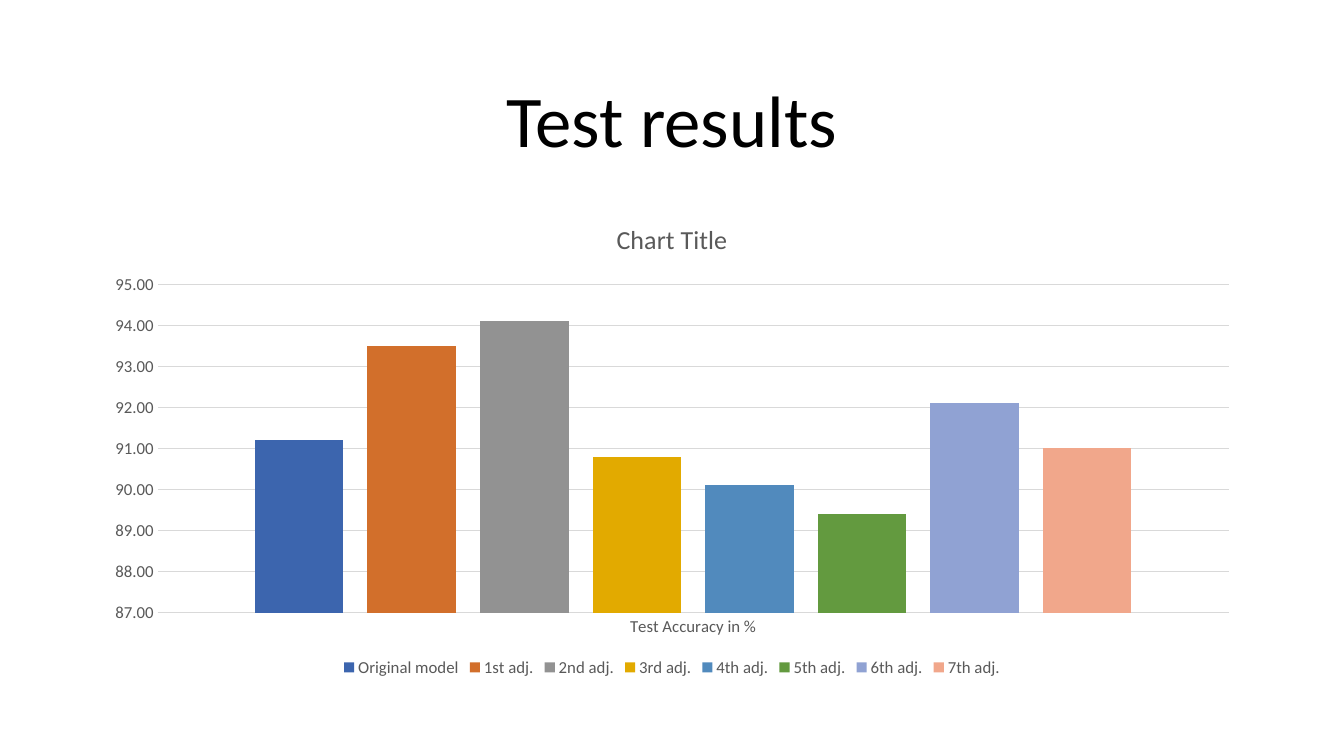
from pptx import Presentation
from pptx.chart.data import CategoryChartData
from pptx.dml.color import RGBColor
from pptx.enum.chart import XL_CHART_TYPE, XL_LEGEND_POSITION, XL_TICK_MARK
from pptx.enum.text import MSO_ANCHOR, PP_ALIGN
from pptx.util import Inches, Pt

COLUMNS = XL_CHART_TYPE.COLUMN_CLUSTERED
BOTTOM = XL_LEGEND_POSITION.BOTTOM
NO_TICKS = XL_TICK_MARK.NONE
MIDDLE = MSO_ANCHOR.MIDDLE
CENTER = PP_ALIGN.CENTER

# Content
TITLE = "Test results"
CHART_TITLE = "Chart Title"
CATEGORY = "Test Accuracy in %"
RESULTS = [  # series name, accuracy, colour
    ("Original model", 91.2, "3C65AE"),
    ("1st adj.", 93.5, "D26F2B"),
    ("2nd adj.", 94.1, "929292"),
    ("3rd adj.", 90.8, "E2AA00"),
    ("4th adj.", 90.1, "518ABD"),
    ("5th adj.", 89.4, "639A3F"),
    ("6th adj.", 92.1, "90A2D3"),
    ("7th adj.", 91, "F1A78B"),
]
FONT = "Calibri"
COLORS = {"title": "000000", "label": "595959", "grid": "D9D9D9"}
SLIDE_WIDTH, WIDTH = Inches(13.33), Inches(11.5)
LEFT = (SLIDE_WIDTH - WIDTH) // 2


def style_font(font, size, color):
    font.name = FONT
    font.size = Pt(size)
    font.bold = False
    font.color.rgb = RGBColor.from_string(COLORS[color])


def style_line(line):
    line.color.rgb = RGBColor.from_string(COLORS["grid"])
    line.width = Pt(0.75)


presentation = Presentation()
presentation.slide_width = SLIDE_WIDTH
presentation.slide_height = Inches(7.5)
slide = presentation.slides.add_slide(presentation.slide_layouts[6])

# Slide title
title_frame = slide.shapes.add_textbox(LEFT, Inches(0.61), WIDTH, Inches(1.24)).text_frame
title_frame.word_wrap = True
title_frame.vertical_anchor = MIDDLE
paragraph = title_frame.paragraphs[0]
paragraph.text = TITLE
paragraph.alignment = CENTER
paragraph.line_spacing = 0.9
style_font(paragraph.font, 52, "title")

# Column chart
chart_data = CategoryChartData(number_format="0.00")
chart_data.categories = [CATEGORY]
for name, accuracy, _ in RESULTS:
    chart_data.add_series(name, [accuracy])
chart = slide.shapes.add_chart(
    COLUMNS, LEFT, Inches(2), WIDTH, Inches(4.76), chart_data).chart
style_font(chart.font, 12, "label")

chart.has_title = True
chart_title = chart.chart_title.text_frame.paragraphs[0]
chart_title.text = CHART_TITLE
style_font(chart_title.font, 18.6, "label")
chart.chart_title.include_in_layout = False

chart.has_legend = True
chart.legend.position = BOTTOM
chart.legend.include_in_layout = False
style_font(chart.legend.font, 12, "label")

# Columns
plot = chart.plots[0]
plot.gap_width = 219
plot.overlap = -27
plot.vary_by_categories = False
for series, (_, _, color) in zip(plot.series, RESULTS):
    series.format.fill.solid()
    series.format.fill.fore_color.rgb = RGBColor.from_string(color)
    series.invert_if_negative = False

# Axes
value_axis = chart.value_axis
value_axis.minimum_scale, value_axis.maximum_scale, value_axis.major_unit = 87, 95, 1
value_axis.tick_labels.number_format = "0.00"
value_axis.tick_labels.number_format_is_linked = False
value_axis.format.line.fill.background()
style_line(value_axis.major_gridlines.format.line)
style_line(chart.category_axis.format.line)
for axis in (value_axis, chart.category_axis):
    axis.major_tick_mark = axis.minor_tick_mark = NO_TICKS
    style_font(axis.tick_labels.font, 12, "label")

presentation.save("out.pptx")
